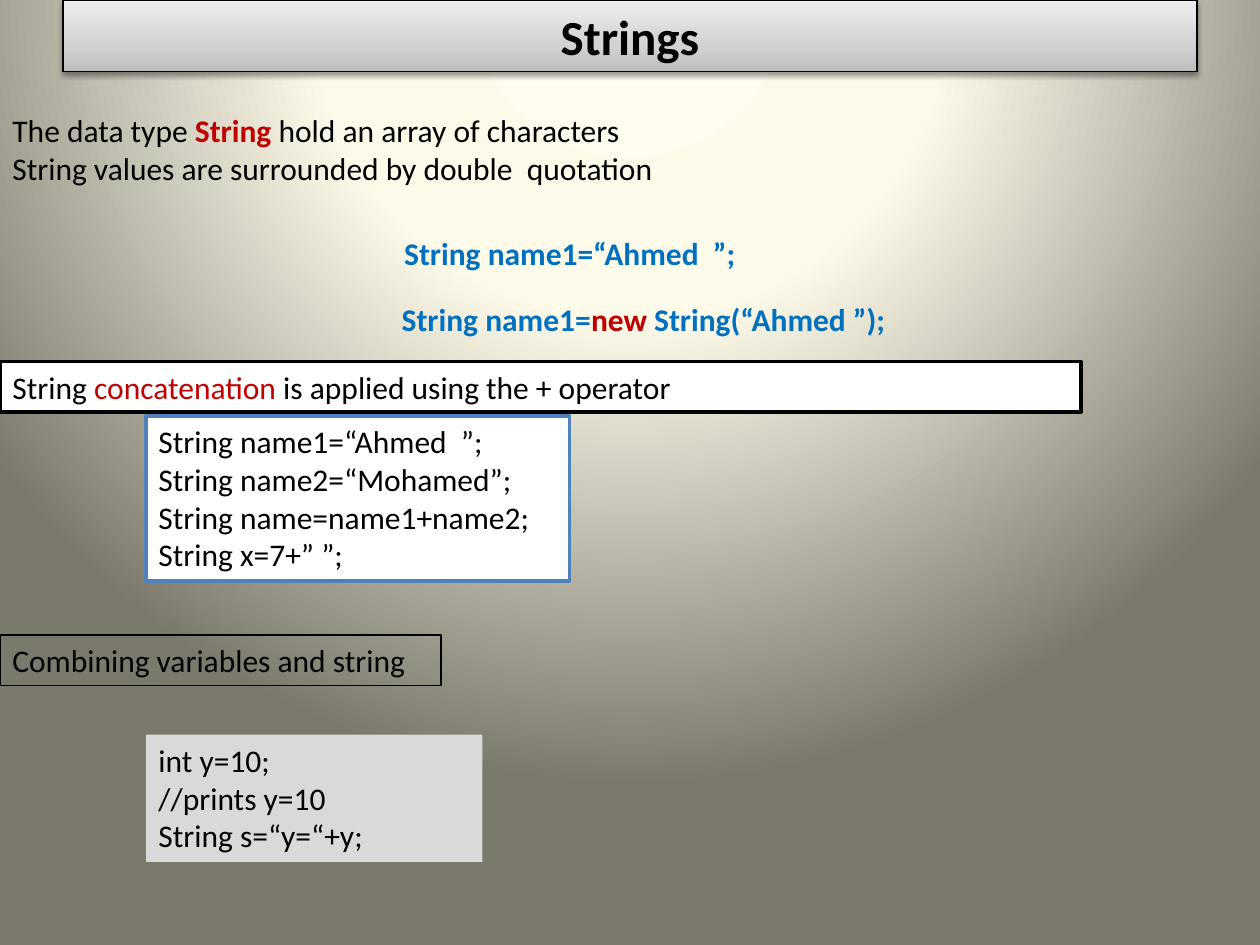
import pptx
import pptx.dml.color
import pptx.enum.shapes
import pptx.enum.text
import pptx.oxml
import pptx.oxml.ns
import pptx.util
from lxml import etree

COLUMNS, ROWS = 100, 75
FONT = "Calibri"
COLOURS = {
    "black": "000000", "white": "FFFFFF", "grey": "D9D9D9",
    "red": "C00000", "blue": "0070C0", "frame": "4F81BD",
}
PAGE_STOPS = [(0, "FEFCEE"), (40, "FDFAEA"), (100, "7B796B")]
TITLE_STOPS = [(0, "BDBDBD"), (35, "D1D1D1"), (100, "EEEEEE")]

deck = pptx.Presentation()
deck.slide_width = pptx.util.Inches(10)
deck.slide_height = pptx.util.Inches(7.5)


def colour(name):
    return pptx.dml.color.RGBColor.from_string(COLOURS[name])


def place(box):
    """Turn (column, row, columns, rows) into slide lengths."""
    cell_width, cell_height = deck.slide_width / COLUMNS, deck.slide_height / ROWS
    left, top, width, height = box
    return [round(length) for length in (left * cell_width, top * cell_height,
                                         width * cell_width, height * cell_height)]


def add_node(parent, tag, **attributes):
    values = {name: str(value) for name, value in attributes.items()}
    return etree.SubElement(parent, pptx.oxml.ns.qn(tag), values)


def fill_gradient(fill, owner, stops):
    """Set the colour stops and return the gradient node, still without direction."""
    fill.gradient()
    node = owner.find(".//" + pptx.oxml.ns.qn("a:gradFill"))
    for child in list(node):
        node.remove(child)
    stop_list = add_node(node, "a:gsLst")
    for share, value in stops:
        add_node(add_node(stop_list, "a:gs", pos=share * 1000), "a:srgbClr", val=value)
    return node


def paint_background(page):
    node = fill_gradient(page.background.fill, page.element, PAGE_STOPS)
    circle = add_node(node, "a:path", path="circle")
    add_node(circle, "a:fillToRect", l=50000, t=-80000, r=50000, b=180000)


def write_text(shape, lines, size=18, wrap=True, align=None):
    """Fill a shape with lines, each a list of (text, colour, bold) spans."""
    frame = shape.text_frame
    frame.word_wrap = wrap
    frame.vertical_anchor = pptx.enum.text.MSO_ANCHOR.TOP
    frame.auto_size = pptx.enum.text.MSO_AUTO_SIZE.SHAPE_TO_FIT_TEXT
    for index, line in enumerate(lines):
        para = frame.add_paragraph() if index else frame.paragraphs[0]
        para.alignment = align or pptx.enum.text.PP_ALIGN.LEFT
        for text, tint, bold in line:
            span = para.add_run()
            span.text = text
            span.font.name = FONT
            span.font.size = pptx.util.Pt(size)
            span.font.bold = bold
            span.font.color.rgb = colour(tint)


def plain(*texts):
    return [[(text, "black", False)] for text in texts]


def add_panel(page, box, fill=None, line=None, weight=0.75):
    panel = page.shapes.add_shape(pptx.enum.shapes.MSO_SHAPE.RECTANGLE, *place(box))
    panel.shadow.inherit = False
    if fill:
        panel.fill.solid()
        panel.fill.fore_color.rgb = colour(fill)
    else:
        panel.fill.background()
    if line:
        panel.line.color.rgb = colour(line)
        panel.line.width = pptx.util.Pt(weight)
    else:
        panel.line.fill.background()
    return panel


def add_title(page, box, text):
    panel = add_panel(page, box, line="black")
    node = fill_gradient(panel.fill, panel.element, TITLE_STOPS)
    add_node(node, "a:lin", ang=270 * 60000, scaled=0)
    effects = panel.element.spPr.find(pptx.oxml.ns.qn("a:effectLst"))
    shadow = add_node(effects, "a:outerShdw", blurRad=pptx.util.Pt(3.1),
                      dist=pptx.util.Pt(1.6), dir=90 * 60000, rotWithShape=0)
    add_node(add_node(shadow, "a:srgbClr", val=COLOURS["black"]), "a:alpha", val=38000)
    write_text(panel, [[(text, "black", True)]], size=28,
               align=pptx.enum.text.PP_ALIGN.CENTER)


def add_panel_text(page, box, lines, **style):
    write_text(add_panel(page, box, **style), lines)


def add_free_text(page, box, lines, wrap=True):
    write_text(page.shapes.add_textbox(*place(box)), lines, wrap=wrap)


def build_slide():
    page = deck.slides.add_slide(deck.slide_layouts[6])
    paint_background(page)
    add_title(page, (5, 0, 90, 5.7), "Strings")
    add_panel_text(page, (11.6, 33, 33.6, 13.1), plain(
        "String name1=“Ahmed  ”;", "String name2=“Mohamed”;",
        "String name=name1+name2;", "String x=7+” ”;",
    ), fill="white", line="frame", weight=2)
    add_panel_text(page, (11.6, 58.3, 26.7, 10.1), plain(
        "int y=10;", "//prints y=10", "String s=“y=“+y;"), fill="grey")
    add_panel_text(page, (0, 50.4, 35, 4),
                   plain("Combining variables and string"), line="black")
    add_panel_text(page, (0, 28.7, 85.8, 4), [[
        ("String ", "black", False), ("concatenation", "red", False),
        (" is applied using the + operator", "black", False),
    ]], fill="white", line="black", weight=2)
    add_free_text(page, (0, 8.3, 87.5, 7.1), [
        [("The data type ", "black", False), ("String ", "red", True),
         ("hold an array of characters", "black", False)],
        *plain("String values are surrounded by double  quotation"),
    ])
    add_free_text(page, (31.1, 18.1, 28.6, 4),
                  [[("String name1=“Ahmed  ”;", "blue", True)]], wrap=False)
    add_free_text(page, (30.9, 23.3, 41.3, 4), [[
        ("String name1=", "blue", True), ("new", "red", True),
        (" String(“Ahmed ”);", "blue", True),
    ]], wrap=False)


if __name__ == "__main__":
    build_slide()
    deck.save("out.pptx")
